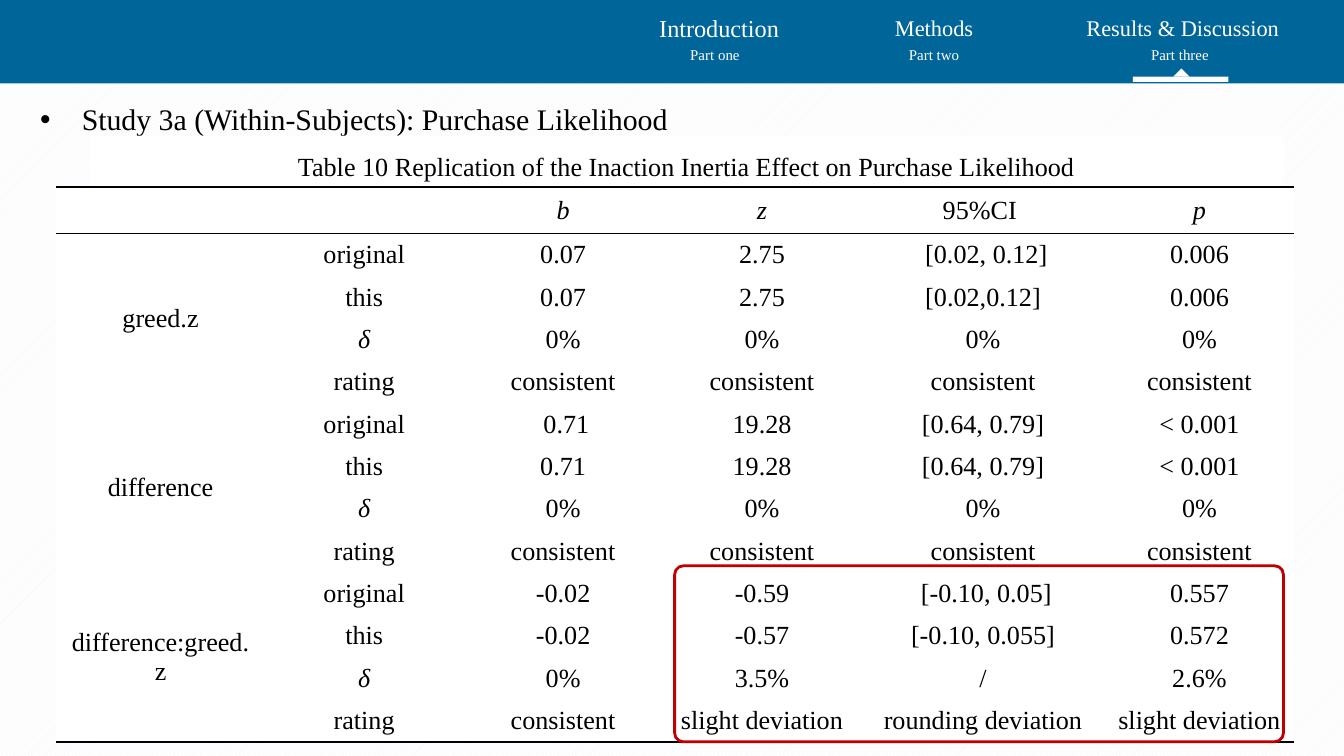
from pptx import Presentation
from pptx.dml.color import RGBColor as RGB
from pptx.enum.dml import MSO_PATTERN as Pat
from pptx.enum.shapes import MSO_SHAPE as Kind
from pptx.enum.text import MSO_ANCHOR as Anchor, PP_ALIGN as Align
from pptx.oxml import parse_xml
from pptx.oxml.ns import nsdecls
from pptx.util import Inches, Pt

# Content
HEAD = "Study 3a (Within-Subjects): Purchase Likelihood"
CAPTION = "Table 10\u00a0Replication of the Inaction Inertia Effect on Purchase Likelihood"
# title, its centre, top, width, height and size; part, its centre
NAV = [
    ("Introduction", 5.35, 0.05, 1.38, 0.32, 13, "Part one", 5.32),
    ("Methods", 6.95, 0.06, 1.12, 0.3, 12, "Part two", 6.95),
    (" Results & Discussion", 8.78, 0.06, 1.85, 0.3, 12, "Part three", 8.78),
]
COLS = ["", "", "b", "z", "95%CI ", "p"]
KINDS = ["original", "this", "δ", "rating"]
SAME = ["0%"] * 4
AGREE = ["consistent"] * 4
GROUPS = [
    ("greed.z", [
        ["0.07", "2.75", " [0.02, 0.12]", "0.006"],
        ["0.07", "2.75", "[0.02,0.12]", "0.006"],
        SAME, AGREE]),
    ("difference", [
        [" 0.71", "19.28", "[0.64, 0.79]", "< 0.001"],
        ["0.71", "19.28", "[0.64, 0.79]", "< 0.001"],
        SAME, AGREE]),
    ("difference:greed.z", [
        ["-0.02", "-0.59", " [-0.10, 0.05]", "0.557"],
        ["-0.02", "-0.57", "[-0.10, 0.055]", "0.572"],
        ["0%", "3.5%", "/", "2.6%"],
        ["consistent", "slight deviation", "rounding deviation", "slight deviation"]]),
]
ITALIC = {"b", "z", "p", "δ"}

# Theme and grid
THEME = dict(font="Times New Roman", bar="006599", white="FFFFFF", ink="000000",
             rule="000008", mark="C00000", hatch="F2F2F2",
             head=16, body=14, part=8, thick=1.5, thin=0.5)
WIDE = 10
HIGH = WIDE * 9 / 16
LEFT, TOP = 0.42, 1.39
WIDTHS = [1.55, 1.48, 1.48, 1.48, 1.81, 1.41]
HEAD_ROW, ROW = 0.35, 0.315

deck = Presentation()
deck.slide_width, deck.slide_height = Inches(WIDE), Inches(HIGH)
slide = deck.slides.add_slide(deck.slide_layouts[6])


def color(name):
    return RGB.from_string(THEME[name])


def box(*at):
    return [Inches(v) for v in at]


def write(frame, text, size, ink="ink", align=Align.CENTER, space=None):
    frame.word_wrap = True
    para = frame.paragraphs[0]
    para.alignment = align
    if space:
        para.line_spacing = space
    run = para.add_run()
    run.text = text
    font = run.font
    font.name, font.size, font.italic = THEME["font"], Pt(size), text in ITALIC
    font.color.rgb = color(ink)
    return para


def label(at, *args, **more):
    return write(slide.shapes.add_textbox(*box(*at)).text_frame, *args, **more)


def shape(kind, at, fill=None, line=None, home=slide):
    part = home.shapes.add_shape(kind, *box(*at))
    part.shadow.inherit = False
    if fill:
        part.fill.solid()
        part.fill.fore_color.rgb = color(fill)
    else:
        part.fill.background()
    if line:
        part.line.color.rgb = color(line)
        part.line.width = Pt(THEME["thick"])
    else:
        part.line.fill.background()
    return part


def edges(cell, **weights):
    props = cell._tc.get_or_add_tcPr()
    for spot, side in enumerate("LRTB"):
        weight = weights.get(side)
        paint, width = "<a:noFill/>", ""
        if weight:
            paint = f'<a:solidFill><a:srgbClr val="{THEME["rule"]}"/></a:solidFill>'
            width = f'w="{Pt(THEME[weight])}"'
        props.insert(spot, parse_xml(
            f'<a:ln{side} {nsdecls("a")} {width}>{paint}</a:ln{side}>'))


# Hatched background
back = slide.background.fill
back.patterned()
back.pattern = Pat.LIGHT_UPWARD_DIAGONAL
back.fore_color.rgb, back.back_color.rgb = color("hatch"), color("white")

# Heading with bullet
para = label((0.2, 0.57, 9.51, 0.55), HEAD, THEME["head"], align=Align.LEFT, space=1.5)
props = para._p.get_or_add_pPr()
props.set("marL", str(Inches(0.31)))
props.set("indent", str(-Inches(0.31)))
props.append(parse_xml(f'<a:buFont {nsdecls("a")} typeface="Arial"/>'))
props.append(parse_xml(f'<a:buChar {nsdecls("a")} char="•"/>'))

# Navigation bar, with a marker under the last part
shape(Kind.RECTANGLE, (0, 0, WIDE, 0.62), "bar")
for title, mid, top, wide, high, size, part, low in NAV:
    label((mid - wide / 2, top, wide, high), title, size, "white")
    label((low - 0.35, 0.29, 0.7, 0.24), part, THEME["part"], "white")
mark = slide.shapes.add_group_shape()
shape(Kind.RECTANGLE, (8.43, 0.57, 0.71, 0.04), "white", home=mark)
shape(Kind.ISOSCELES_TRIANGLE, (8.73, 0.51, 0.12, 0.06), "white", home=mark)

# Caption
plate = shape(Kind.RECTANGLE, (0.67, 1.01, 8.88, 0.39), "white")
write(plate.text_frame, CAPTION, THEME["body"], space=1.25)

# Table
rows = [COLS]
for name, lines in GROUPS:
    for i, (kind, line) in enumerate(zip(KINDS, lines)):
        rows.append([name if i == 0 else "", kind, *line])
last = len(rows) - 1
grid = slide.shapes.add_table(
    len(rows), len(COLS),
    *box(LEFT, TOP, sum(WIDTHS), HEAD_ROW + last * ROW)).table
grid.first_row = grid.horz_banding = False
grid._tbl.tblPr[0].text = "{2D5ABB26-0587-4C30-8999-92F81FD0307C}"
for col, width in zip(grid.columns, WIDTHS):
    col.width = Inches(width)
for r, line in enumerate(rows):
    grid.rows[r].height = Inches(ROW if r else HEAD_ROW)
    for c, text in enumerate(line):
        cell = grid.cell(r, c)
        cell.margin_left = cell.margin_right = Pt(5.4)
        cell.margin_top = cell.margin_bottom = 0
        cell.vertical_anchor = Anchor.MIDDLE
        cell.fill.solid()
        cell.fill.fore_color.rgb = color("white")
        if text:
            write(cell.text_frame, text, THEME["body"])
        ends = r == last or (c == 0 and r == last - len(KINDS) + 1)
        edges(cell, T={0: "thick", 1: "thin"}.get(r),
              B="thin" if r == 0 else "thick" if ends else None)
for r in range(1, last, len(KINDS)):
    grid.cell(r, 0).merge(grid.cell(r + len(KINDS) - 1, 0))

# Frame round the deviating values
frame = shape(Kind.ROUNDED_RECTANGLE, (5.02, 4.21, 4.53, 1.31), line="mark")
frame.adjustments[0] = 0.05

deck.save("out.pptx")
